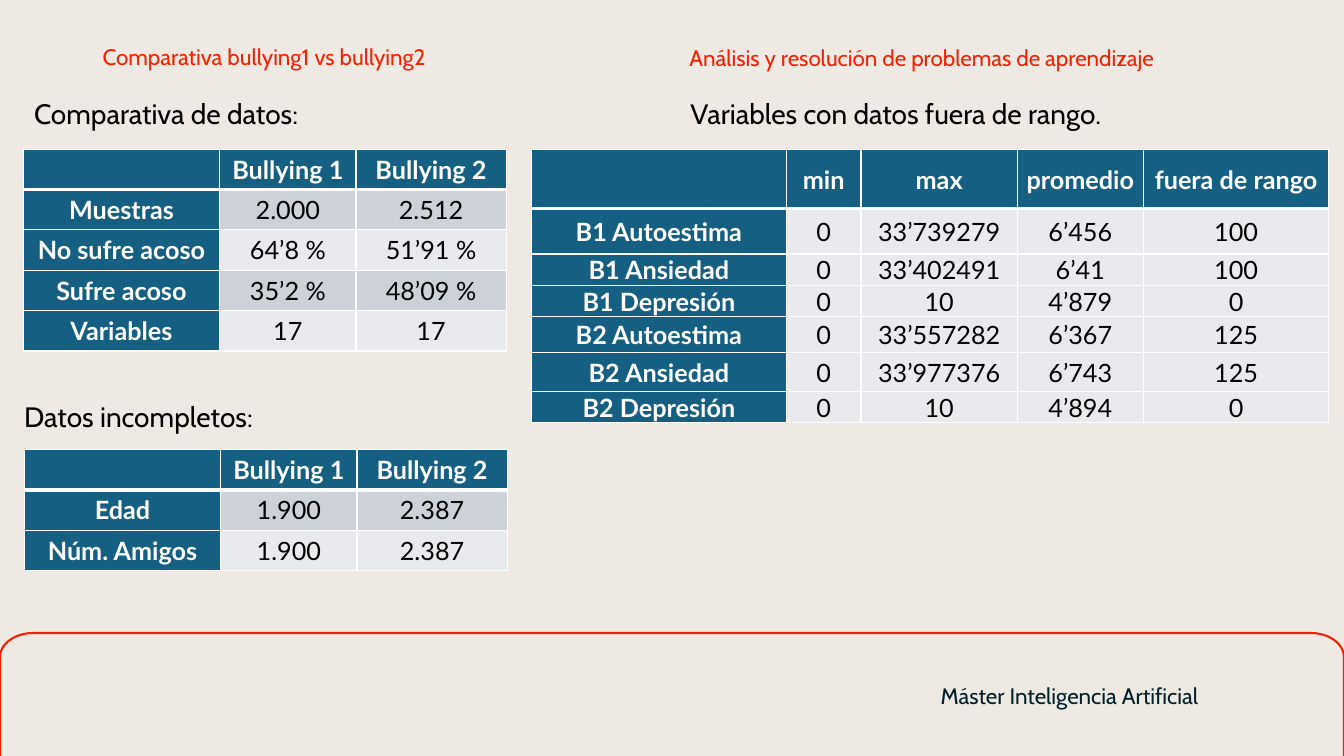
import math
import pptx
import pptx.dml.color
import pptx.enum.text
import pptx.oxml
import pptx.oxml.ns
import pptx.util
from pptx.util import Inches

WIDTH, HEIGHT = 13.33, 7.5
RED, INK, BLACK, WHITE = "F42100", "002129", "000000", "FFFFFF"
BEIGE, BLUE, GREY, PALE = "EEE9E2", "156082", "CCD2D8", "E8EAED"

TITLES = [
    ("Comparativa bullying1 vs bullying2", (0.92, 0.4, 5.67, 0.35), RED, 0.9),
    ("Análisis y resolución de problemas de aprendizaje", (6.74, 0.4, 5.67, 0.35), RED, 1),
    ("Máster Inteligencia Artificial", (9.23, 6.52, 3.18, 0.76), INK, 1),
]
HEADINGS = [
    ("Comparativa de datos:", (0.24, 0.95, 6.34, 1.03)),
    ("Variables con datos fuera de rango.", (6.75, 0.95, 6.34, 5.07)),
    ("Datos incompletos:", (0.14, 3.95, 6.34, 1.03)),
]
SAMPLE_COLUMNS = [1.95, 1.35, 1.49]
ROOMY = (0.1, 0.05, 0.1, 0.05)
TIGHT = (0.01, 0.01, 0.01, 0)
TABLES = [
    {
        "corner": (0.23, 1.48), "columns": SAMPLE_COLUMNS,
        "heights": [0.39] + [0.4] * 4, "margins": ROOMY, "bands": [GREY, PALE],
        "rows": [
            ("", "Bullying 1", "Bullying 2"),
            ("Muestras", "2.000", "2.512"),
            ("No sufre acoso", "64’8 %", "51’91 %"),
            ("Sufre acoso", "35’2 %", "48’09 %"),
            ("Variables", "17", "17"),
        ],
    },
    {
        "corner": (5.27, 1.48), "columns": [2.53, 0.74, 1.55, 1.25, 1.84],
        "heights": [0.59, 0.45, 0.3, 0.31, 0.36, 0.38, 0.31],
        "margins": TIGHT, "bands": [PALE],
        "rows": [
            ("", "min", "max", "promedio", "fuera de rango"),
            ("B1 Autoestima", "0", "33’739279", "6’456", "100"),
            ("B1 Ansiedad", "0", "33’402491", "6’41", "100"),
            ("B1 Depresión", "0", "10", "4’879", "0"),
            ("B2 Autoestima", "0", "33’557282", "6’367", "125"),
            ("B2 Ansiedad", "0", "33’977376", "6’743", "125"),
            ("B2 Depresión", "0", "10", "4’894", "0"),
        ],
    },
    {
        "corner": (0.24, 4.46), "columns": SAMPLE_COLUMNS,
        "heights": [0.39, 0.4, 0.4], "margins": ROOMY, "bands": [GREY, PALE],
        "rows": [
            ("", "Bullying 1", "Bullying 2"),
            ("Edad", "1.900", "2.387"),
            ("Núm. Amigos", "1.900", "2.387"),
        ],
    },
]
FRAME_TOP, CORNER_WIDTH, CORNER_HEIGHT, CORNER_STEPS = 6.28, 0.33, 0.24, 16


def color(value):
    return pptx.dml.color.RGBColor.from_string(value)


def style(para, name, size, value, bold=False):
    para.font.name = name
    para.font.size = pptx.util.Pt(size)
    para.font.bold = bold
    para.font.color.rgb = color(value)


def add_text(page, text, place, size, value, anchor, align, spacing):
    frame = page.shapes.add_textbox(*map(Inches, place)).text_frame
    frame.word_wrap = True
    frame.vertical_anchor = anchor
    para = frame.paragraphs[0]
    para.text = text
    para.alignment = align
    para.line_spacing = spacing
    style(para, "Cabin", size, value)


def add_borders(cell, top, bottom):
    properties = cell._tc.get_or_add_tcPr()
    for side, points in (("L", 1), ("R", 1), ("T", top), ("B", bottom)):
        properties.append(pptx.oxml.parse_xml(
            f'<a:ln{side} {pptx.oxml.ns.nsdecls("a")} w="{pptx.util.Pt(points)}">'
            f'<a:solidFill><a:srgbClr val="{WHITE}"/></a:solidFill></a:ln{side}>'))


def add_grid(page, corner, columns, heights, margins, bands, rows):
    size = (sum(columns), sum(heights))
    table = page.shapes.add_table(
        len(rows), len(columns), *map(Inches, corner + size)).table
    for column, width in zip(table.columns, columns):
        column.width = Inches(width)
    for r, (texts, height) in enumerate(zip(rows, heights)):
        table.rows[r].height = Inches(height)
        for c, text in enumerate(texts):
            cell = table.cell(r, c)
            label = r == 0 or c == 0
            add_borders(cell, 3 if r == 1 else 1, 3 if r == 0 else 1)
            cell.fill.solid()
            cell.fill.fore_color.rgb = color(BLUE if label else bands[(r - 1) % len(bands)])
            (cell.margin_left, cell.margin_top,
             cell.margin_right, cell.margin_bottom) = map(Inches, margins)
            cell.vertical_anchor = pptx.enum.text.MSO_ANCHOR.MIDDLE
            para = cell.text_frame.paragraphs[0]
            para.text = text
            para.alignment = pptx.enum.text.PP_ALIGN.CENTER
            style(para, "Lato", 18, WHITE if label else BLACK, label)


def add_footer_frame(page):
    angles = [math.pi / 2 * step / CORNER_STEPS for step in range(CORNER_STEPS + 1)]
    left = [(CORNER_WIDTH * (1 - math.cos(angle)),
             FRAME_TOP + CORNER_HEIGHT * (1 - math.sin(angle))) for angle in angles]
    right = [(WIDTH - x, y) for x, y in reversed(left)]
    builder = page.shapes.build_freeform(0, Inches(HEIGHT))
    points = left + right + [(WIDTH, HEIGHT)]
    builder.add_line_segments([(Inches(x), Inches(y)) for x, y in points], close=False)
    shape = builder.convert_to_shape()
    shape.shadow.inherit = False
    shape.fill.background()
    shape.line.color.rgb = color(RED)
    shape.line.width = pptx.util.Pt(1.5)


def main():
    deck = pptx.Presentation()
    deck.slide_width, deck.slide_height = Inches(WIDTH), Inches(HEIGHT)
    page = deck.slides.add_slide(deck.slide_layouts[6])
    page.background.fill.solid()
    page.background.fill.fore_color.rgb = color(BEIGE)
    anchors, aligns = pptx.enum.text.MSO_ANCHOR, pptx.enum.text.PP_ALIGN
    add_footer_frame(page)
    for text, place, value, spacing in TITLES:
        add_text(page, text, place, 16, value, anchors.MIDDLE, aligns.LEFT, spacing)
    for text, place in HEADINGS:
        add_text(page, text, place, 20, BLACK, anchors.TOP, aligns.JUSTIFY, 0.9)
    for table in TABLES:
        add_grid(page, **table)
    deck.save("out.pptx")


if __name__ == "__main__":
    main()
